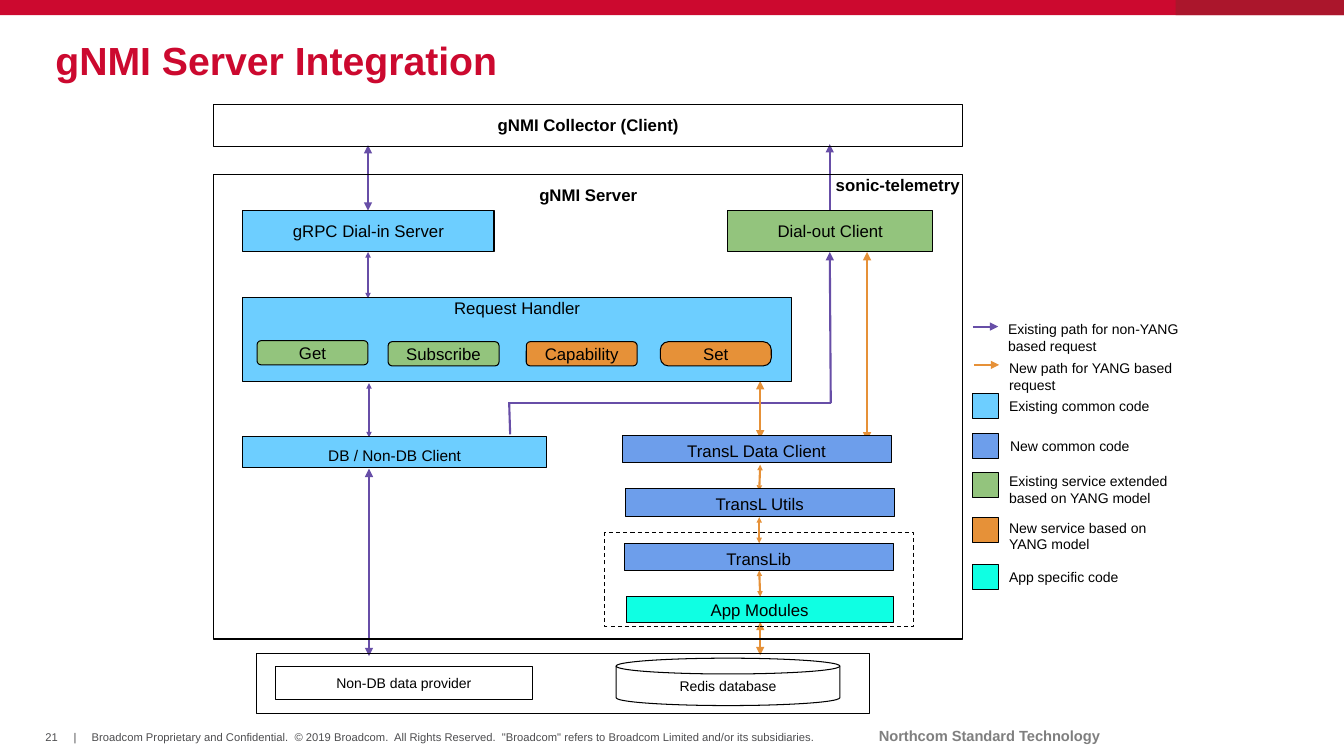
"""Build the gNMI Server Integration architecture slide."""
from lxml import etree
from pptx import Presentation
from pptx.dml.color import RGBColor
from pptx.enum.dml import MSO_LINE
from pptx.enum.shapes import MSO_CONNECTOR, MSO_SHAPE
from pptx.enum.text import MSO_ANCHOR, MSO_AUTO_SIZE, PP_ALIGN
from pptx.oxml.ns import qn
from pptx.util import Inches, Pt

RECTANGLE = MSO_SHAPE.RECTANGLE
ROUNDED = MSO_SHAPE.ROUNDED_RECTANGLE
DISK = MSO_SHAPE.FLOWCHART_MAGNETIC_DISK
STRAIGHT = MSO_CONNECTOR.STRAIGHT
DASH = MSO_LINE.DASH
TOP, MIDDLE = MSO_ANCHOR.TOP, MSO_ANCHOR.MIDDLE
LEFT, CENTER = PP_ALIGN.LEFT, PP_ALIGN.CENTER
NO_AUTOFIT = MSO_AUTO_SIZE.NONE

RED, DARK_RED = "CC092F", "AB162C"
BLACK, DARK_GRAY, GRAY = "000000", "4D4D4F", "7F7F7F"
SKY, BLUE, GREEN, ORANGE, AQUA = "6DCEFF", "6D9EEB", "93C47D", "E69138", "0FFFE3"
PURPLE = "674EA7"


def color(value):
    return RGBColor.from_string(value)


def write(shape, text, size=12, ink=BLACK, bold=False, align=CENTER, anchor=TOP,
          inset=0.1, top_inset=None):
    frame = shape.text_frame
    frame.auto_size = NO_AUTOFIT
    frame.word_wrap = True
    frame.vertical_anchor = anchor
    frame.margin_left = frame.margin_right = frame.margin_bottom = Inches(inset)
    frame.margin_top = Inches(inset if top_inset is None else top_inset)
    paragraph = frame.paragraphs[0]
    paragraph.alignment = align
    run = paragraph.add_run()
    run.text = text
    run.font.name = "Arial"
    run.font.size = Pt(size)
    run.font.bold = bold
    run.font.color.rgb = color(ink)


presentation = Presentation()
presentation.slide_width = Inches(13.33)
presentation.slide_height = Inches(7.5)
slide = presentation.slides.add_slide(presentation.slide_layouts[5])
shapes = slide.shapes

title = shapes.title
title.left, title.top, title.width, title.height = map(Inches, (0.45, 0.43, 12.43, 0.4))
write(title, "gNMI Server Integration", size=28, ink=RED, bold=True, align=LEFT, anchor=MIDDLE)
title.text_frame.paragraphs[0].line_spacing = 0.85

for left, width, fill in [(0, 13.33, RED), (11.66, 1.67, DARK_RED)]:
    band = shapes.add_shape(RECTANGLE, Inches(left), 0, Inches(width), Inches(0.15))
    band.shadow.inherit = False
    band.fill.solid()
    band.fill.fore_color.rgb = color(fill)
    band.line.fill.background()

small_print = {"size": 8, "ink": DARK_GRAY, "align": LEFT, "inset": 0}
label = {"size": 10, "align": LEFT}
texts = [
    (0.45, 7.25, 0.2, 0.13, "21", {**small_print, "anchor": MIDDLE}),
    (0.73, 7.25, 0.1, 0.13, "|", {**small_print, "anchor": MIDDLE}),
    (0.91, 7.25, 7.23, 0.13, "Broadcom Proprietary and Confidential.  © 2019 Broadcom.  "
     "All Rights Reserved.  \"Broadcom\" refers to Broadcom Limited and/or its subsidiaries.",
     small_print),
    (7.98, 7.21, 3.67, 0.18, "Northcom Standard Technology",
     {"size": 10.5, "ink": GRAY, "bold": True, "inset": 0}),
    (8.19, 1.63, 1.48, 0.31, "sonic-telemetry", {"bold": True, "align": LEFT}),
    (9.9, 3.08, 1.94, 0.31, "Existing path for non-YANG based request", label),
    (9.91, 3.47, 1.94, 0.31, "New path for YANG based request", label),
    (9.91, 3.84, 1.67, 0.31, "Existing common code", label),
    (9.92, 4.24, 1.67, 0.31, "New common code", label),
    (9.91, 4.59, 2.11, 0.31, "Existing service extended based on YANG model", label),
    (9.91, 5.05, 1.67, 0.31, "New service based on YANG model", label),
    (9.91, 5.54, 1.76, 0.31, "App specific code", label),
]
for left, top, width, height, text, text_format in texts:
    box = shapes.add_textbox(*map(Inches, (left, top, width, height)))
    write(box, text, **text_format)

arrows = [
    (8.23, 2.09, 8.23, 1.43, PURPLE, ["tailEnd"], "med"),
    (3.65, 1.44, 3.65, 2.09, PURPLE, ["headEnd", "tailEnd"], "med"),
    (3.65, 2.5, 3.65, 2.96, PURPLE, ["headEnd", "tailEnd"], "sm"),
    (3.66, 3.8, 3.66, 4.34, PURPLE, ["headEnd", "tailEnd"], "sm"),
    (3.66, 4.65, 3.66, 6.51, PURPLE, ["headEnd", "tailEnd"], "med"),
    (5.05, 4, 5.06, 4.31, PURPLE, [], "med"),
    (8.24, 4, 5.04, 4, PURPLE, [], "med"),
    (8.24, 4, 8.23, 2.5, PURPLE, ["tailEnd"], "med"),
    (8.6, 4.37, 8.6, 2.5, ORANGE, ["headEnd", "tailEnd"], "med"),
    (7.54, 4.35, 7.54, 3.78, ORANGE, ["headEnd", "tailEnd"], "med"),
    (7.53, 4.87, 7.54, 4.61, ORANGE, ["headEnd", "tailEnd"], "sm"),
    (7.53, 5.39, 7.53, 5.13, ORANGE, ["headEnd", "tailEnd"], "sm"),
    (7.54, 5.92, 7.53, 5.66, ORANGE, ["headEnd", "tailEnd"], "sm"),
    (7.54, 6.5, 7.54, 6.17, ORANGE, ["headEnd", "tailEnd"], "med"),
    (9.65, 3.24, 9.9, 3.24, PURPLE, ["tailEnd"], "med"),
    (9.66, 3.62, 9.91, 3.62, ORANGE, ["tailEnd"], "med"),
]
for x1, y1, x2, y2, ink, ends, head_size in arrows:
    arrow = shapes.add_connector(STRAIGHT, *map(Inches, (x1, y1, x2, y2)))
    arrow.line.color.rgb = color(ink)
    arrow.line.width = Pt(1.5)
    outline = arrow.line._get_or_add_ln()
    for end in ends:
        etree.SubElement(outline, qn("a:" + end), type="triangle", w=head_size, len=head_size)
    etree.SubElement(arrow._element.spPr, qn("a:effectLst"))

bold = {"bold": True}
middle = {"anchor": MIDDLE}
small = {"size": 10, "anchor": MIDDLE}
translation = {"top_inset": 0.05}
blocks = [
    (RECTANGLE, 2.12, 1.73, 7.43, 4.61, None, "gNMI Server", bold),
    (RECTANGLE, 2.12, 1.04, 7.43, 0.41, None, "gNMI Collector (Client)", bold),
    (RECTANGLE, 2.54, 6.48, 6.08, 0.6, None, "", {}),
    (RECTANGLE, 2.41, 2.09, 2.49, 0.41, SKY, "gRPC Dial-in Server", {}),
    (RECTANGLE, 7.22, 2.09, 2.03, 0.41, GREEN, "Dial-out Client", {}),
    (RECTANGLE, 2.41, 2.95, 5.44, 0.84, SKY, "Request Handler", {"top_inset": 0}),
    (ROUNDED, 2.55, 3.38, 1.1, 0.24, GREEN, "Get", middle),
    (ROUNDED, 3.85, 3.39, 1.1, 0.24, GREEN, "Subscribe", middle),
    (ROUNDED, 5.22, 3.39, 1.1, 0.24, ORANGE, "Capability", middle),
    (ROUNDED, 6.55, 3.39, 1.1, 0.24, ORANGE, "Set", middle),
    (RECTANGLE, 2.41, 4.33, 3.01, 0.31, SKY, "DB / Non-DB Client", {"size": 11}),
    (RECTANGLE, 6.17, 4.32, 2.67, 0.27, BLUE, "TransL Data Client", translation),
    (RECTANGLE, 6.2, 4.85, 2.67, 0.27, BLUE, "TransL Utils", translation),
    (RECTANGLE, 6.19, 5.39, 2.67, 0.27, BLUE, "TransLib", translation),
    (RECTANGLE, 6.21, 5.92, 2.65, 0.26, AQUA, "App Modules", middle),
    (RECTANGLE, 6, 5.28, 3.06, 0.94, None, "", {}),
    (RECTANGLE, 2.73, 6.61, 2.55, 0.33, None, "Non-DB data provider", small),
    (DISK, 6.11, 6.53, 2.22, 0.47, None, "Redis database", small),
]
legend_keys = [(3.9, SKY), (4.3, BLUE), (4.69, GREEN), (5.13, ORANGE), (5.6, AQUA)]
for top, fill in legend_keys:
    blocks.append((RECTANGLE, 9.65, top, 0.25, 0.25, fill, "", {}))

for preset, left, top, width, height, fill, text, text_format in blocks:
    block = shapes.add_shape(preset, *map(Inches, (left, top, width, height)))
    block.shadow.inherit = False
    block.line.color.rgb = color(BLACK)
    block.line.width = Pt(0.75)
    if fill:
        block.fill.solid()
        block.fill.fore_color.rgb = color(fill)
    else:
        block.fill.background()
    if text:
        write(block, text, **text_format)
    elif (left, top) == (6, 5.28):
        block.line.dash_style = DASH
    if text == "Set":
        block.adjustments[0] = 0.33

presentation.save("out.pptx")
